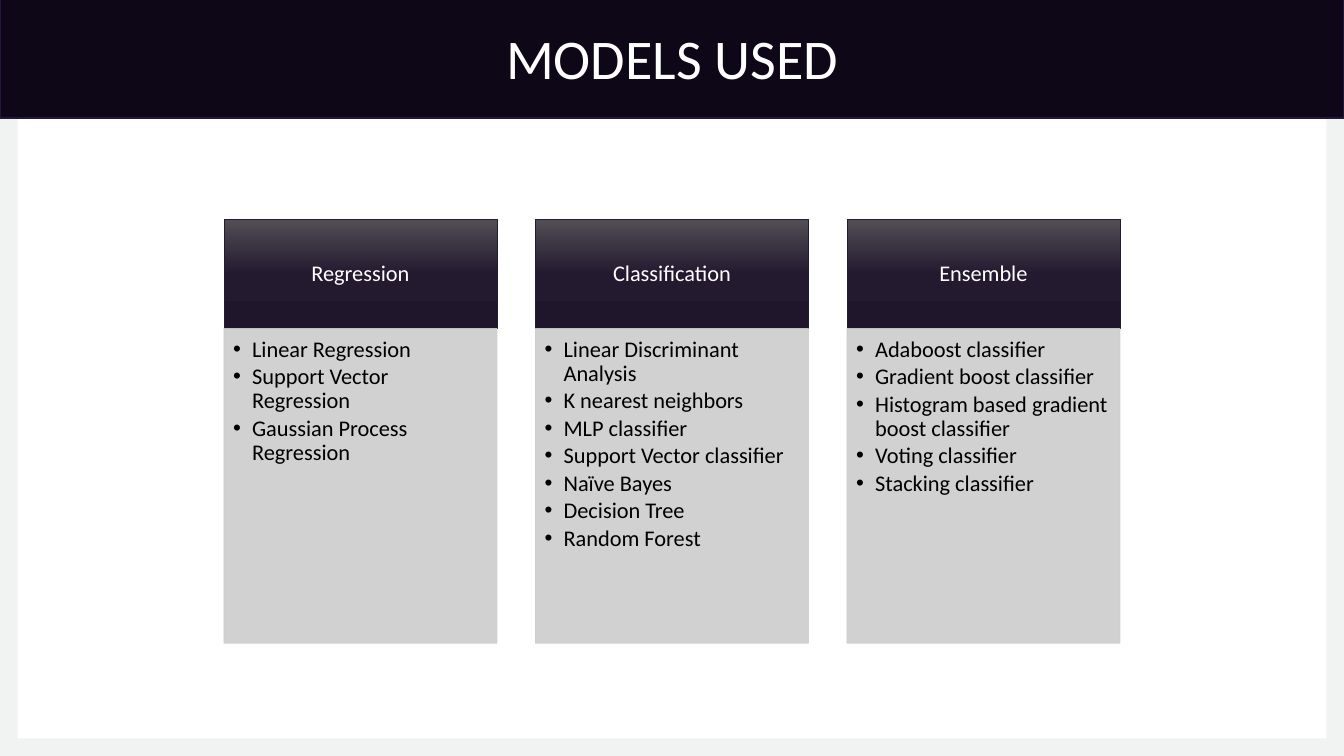
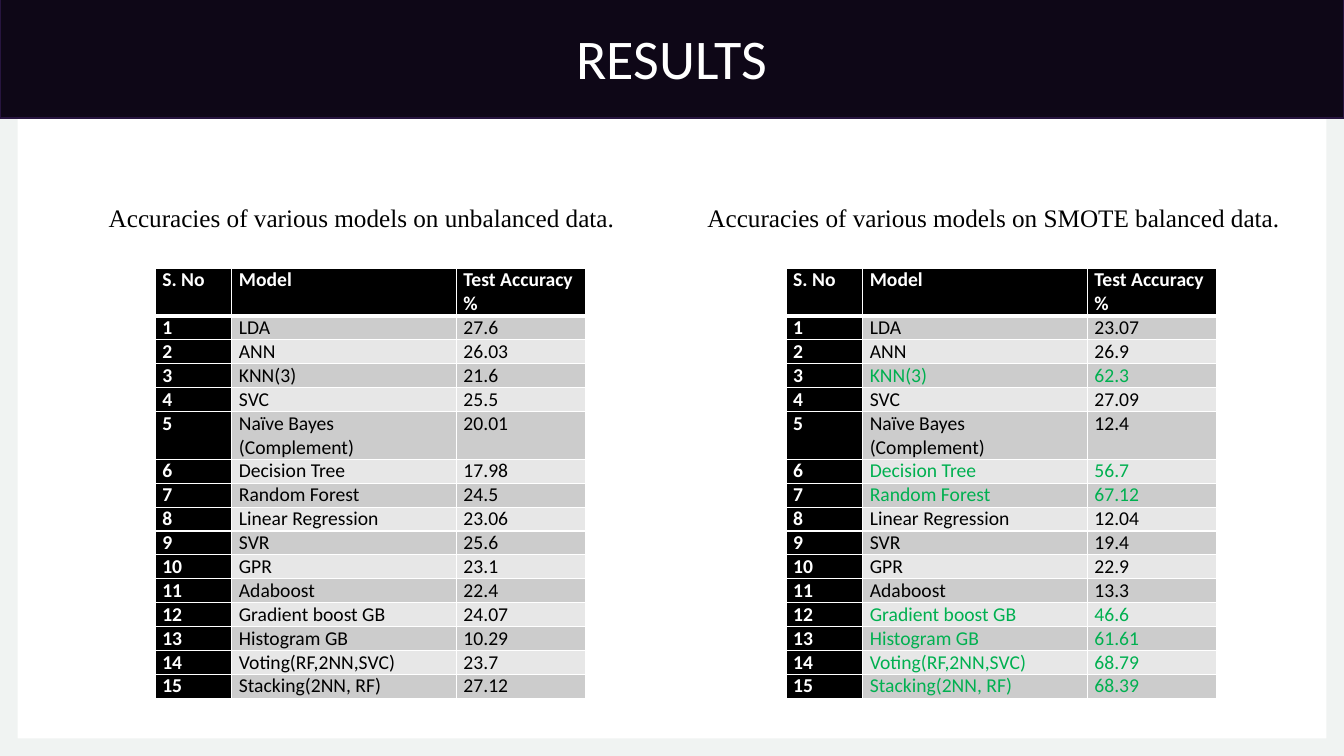
from copy import deepcopy
from lxml.etree import SubElement
from pptx import Presentation
from pptx.dml.color import RGBColor
from pptx.enum.shapes import MSO_SHAPE
from pptx.enum.text import MSO_ANCHOR, PP_ALIGN
from pptx.oxml.ns import qn
from pptx.util import Cm, Pt

WIDTH, HEIGHT = 33.87, 19.05
SANS, SERIF = "Calibri", "Times New Roman"
BLACK, WHITE, GREEN = "000000", "FFFFFF", "00B050"
FRAME, BAND, BAND_LINE = "F0F3F2", "0E0717", "27153F"
HEAD_STOPS, HEAD_LINE = [(0, "514E55"), (0.5, "241A30"), (1, "20162C")], "241B2F"
PANEL = "CDCDCD"
STRIPES = ["E7E7E7", "CCCCCC"]

GROUPS = {
    "Regression": ["Linear Regression", "Support Vector Regression",
                   "Gaussian Process Regression"],
    "Classification": ["Linear Discriminant Analysis", "K nearest neighbors",
                       "MLP classifier", "Support Vector classifier",
                       "Naïve Bayes", "Decision Tree", "Random Forest"],
    "Ensemble": ["Adaboost classifier", "Gradient boost classifier",
                 "Histogram based gradient boost classifier",
                 "Voting classifier", "Stacking classifier"],
}
MODELS = ["LDA", "ANN", "KNN(3)", "SVC", "Naïve Bayes\n(Complement)",
          "Decision Tree", "Random Forest", "Linear Regression", "SVR", "GPR",
          "Adaboost", "Gradient boost GB", "Histogram GB",
          "Voting(RF,2NN,SVC)", "Stacking(2NN, RF)"]
UNBALANCED = [27.6, 26.03, 21.6, 25.5, 20.01, 17.98, 24.5, 23.06, 25.6, 23.1,
              22.4, 24.07, 10.29, 23.7, 27.12]
BALANCED = [23.07, 26.9, 62.3, 27.09, 12.4, 56.7, 67.12, 12.04, 19.4, 22.9,
            13.3, 46.6, 61.61, 68.79, 68.39]
GOOD_SCORE = 40
COLUMNS = {"S. No": 1.93, "Model": 5.66, "Test Accuracy %": 3.25}
ROW_HEIGHT = 0.59


def rgb(value):
    return RGBColor.from_string(value)


def add_run(p, text, size, color, font=SANS, bold=False):
    r = p.add_run()
    r.text = text
    r.font.size, r.font.name, r.font.bold = Pt(size), font, bold
    r.font.color.rgb = rgb(color)


def set_insets(box, left, top, right, bottom):
    box.margin_left, box.margin_top = Cm(left), Cm(top)
    box.margin_right, box.margin_bottom = Cm(right), Cm(bottom)


def add_box(s, x, y, w, h, fill=None, line=None, weight=0.5, kind=MSO_SHAPE.RECTANGLE):
    sp = s.shapes.add_shape(kind, Cm(x), Cm(y), Cm(w), Cm(h))
    sp.shadow.inherit = False
    if fill:
        sp.fill.solid()
        sp.fill.fore_color.rgb = rgb(fill)
    if line:
        sp.line.color.rgb = rgb(line)
        sp.line.width = Pt(weight)
    else:
        sp.line.fill.background()
    sp.text_frame.word_wrap = True
    return sp


def add_base(prs, title):
    s = prs.slides.add_slide(prs.slide_layouts[6])
    frame = add_box(s, 0, 0, WIDTH, HEIGHT, FRAME, kind=MSO_SHAPE.FRAME)
    frame.adjustments[0] = 0.0233
    band = add_box(s, 0, -0.12, WIDTH, 3.1, BAND, BAND_LINE, 1)
    tf = band.text_frame
    tf.vertical_anchor = MSO_ANCHOR.MIDDLE
    p = tf.paragraphs[0]
    p.alignment = PP_ALIGN.CENTER
    add_run(p, title, 40, WHITE)
    return s


def fill_gradient(sp, stops):
    sp.fill.gradient()
    sp.fill.gradient_angle = 270
    gs_list = sp._element.spPr.find(qn("a:gradFill")).find(qn("a:gsLst"))
    gs_list.append(deepcopy(gs_list[0]))
    for stop, (position, color) in zip(sp.fill.gradient_stops, stops):
        stop.color.rgb = rgb(color)
        stop.position = position


def set_bullet(p, indent):
    p_pr = p._p.get_or_add_pPr()
    p_pr.set("marL", str(Cm(indent)))
    p_pr.set("indent", str(-Cm(indent)))
    SubElement(p_pr, qn("a:buFont"), typeface="Arial")
    SubElement(p_pr, qn("a:buChar"), char="•")


def add_group(s, x, y, w, h, heading, items):
    head_h = 2.75
    head = add_box(s, x, y, w, head_h, line=HEAD_LINE)
    fill_gradient(head, HEAD_STOPS)
    tf = head.text_frame
    tf.vertical_anchor = MSO_ANCHOR.MIDDLE
    set_insets(tf, 0.3, 0.18, 0.3, 0.18)
    p = tf.paragraphs[0]
    p.alignment, p.line_spacing = PP_ALIGN.CENTER, 0.9
    add_run(p, heading, 16, WHITE)

    body = add_box(s, x, y + head_h, w, h - head_h, PANEL, PANEL)
    for color in body._element.spPr.iter(qn("a:srgbClr")):
        SubElement(color, qn("a:alpha"), val="90000")
    tf = body.text_frame
    tf.vertical_anchor = MSO_ANCHOR.TOP
    set_insets(tf, 0.23, 0.23, 0.3, 0.35)
    for i, item in enumerate(items):
        p = tf.add_paragraph() if i else tf.paragraphs[0]
        p.alignment, p.line_spacing, p.space_after = PP_ALIGN.LEFT, 0.9, Pt(2.4)
        set_bullet(p, 0.48)
        add_run(p, item, 16, BLACK)


def set_borders(cell, **weights):
    tc_pr = cell._tc.get_or_add_tcPr()
    for side in "LRTB":
        ln = SubElement(tc_pr, qn("a:ln" + side), w=str(Pt(weights.get(side, 1))))
        SubElement(SubElement(ln, qn("a:solidFill")), qn("a:srgbClr"), val=WHITE)


def fill_cell(cell, text, fill, color, bold):
    set_insets(cell, 0.18, 0, 0.18, 0)
    cell.fill.solid()
    cell.fill.fore_color.rgb = rgb(fill)
    tf = cell.text_frame
    for i, line in enumerate(text.split("\n")):
        p = tf.add_paragraph() if i else tf.paragraphs[0]
        add_run(p, line, 14, color, bold=bold)


def add_scores(s, x, y, scores):
    rows = [tuple(COLUMNS)]
    rows += [(str(n), model, str(score))
             for n, (model, score) in enumerate(zip(MODELS, scores), 1)]
    lines = [2 if i == 0 or "\n" in row[1] else 1 for i, row in enumerate(rows)]
    table = s.shapes.add_table(len(rows), len(COLUMNS), Cm(x), Cm(y),
                               Cm(sum(COLUMNS.values())),
                               Cm(ROW_HEIGHT * sum(lines))).table
    for column, width in zip(table.columns, COLUMNS.values()):
        column.width = Cm(width)
    for i, row in enumerate(rows):
        table.rows[i].height = Cm(ROW_HEIGHT * lines[i])
        good = i > 0 and scores[i - 1] > GOOD_SCORE
        for j, text in enumerate(row):
            cell = table.cell(i, j)
            set_borders(cell, T=3 if i == 1 else 1, B=3 if i == 0 else 1)
            if i == 0 or j == 0:
                fill_cell(cell, text, BLACK, WHITE, True)
            else:
                fill_cell(cell, text, STRIPES[i % 2], GREEN if good else BLACK, False)


def add_caption(s, x, y, w, text):
    tf = s.shapes.add_textbox(Cm(x), Cm(y), Cm(w), Cm(1.02)).text_frame
    tf.word_wrap = True
    add_run(tf.paragraphs[0], text, 18, BLACK, SERIF)


def add_models_slide(prs):
    s = add_base(prs, "MODELS USED")
    width, gap = 6.88, 0.97
    left = (WIDTH - 3 * width - 2 * gap) / 2
    for i, (heading, items) in enumerate(GROUPS.items()):
        add_group(s, left + i * (width + gap), 5.53, width, 10.68, heading, items)


def add_results_slide(prs):
    s = add_base(prs, "RESULTS")
    add_scores(s, 3.91, 6.76, UNBALANCED)
    add_scores(s, 19.81, 6.76, BALANCED)
    add_caption(s, 2.49, 4.98, 16.94, "Accuracies of various models on unbalanced data.")
    add_caption(s, 17.58, 4.98, 15.34, "Accuracies of various models on SMOTE balanced data.")


prs = Presentation()
prs.slide_width, prs.slide_height = Cm(WIDTH), Cm(HEIGHT)
add_models_slide(prs)
add_results_slide(prs)
prs.save("out.pptx")
